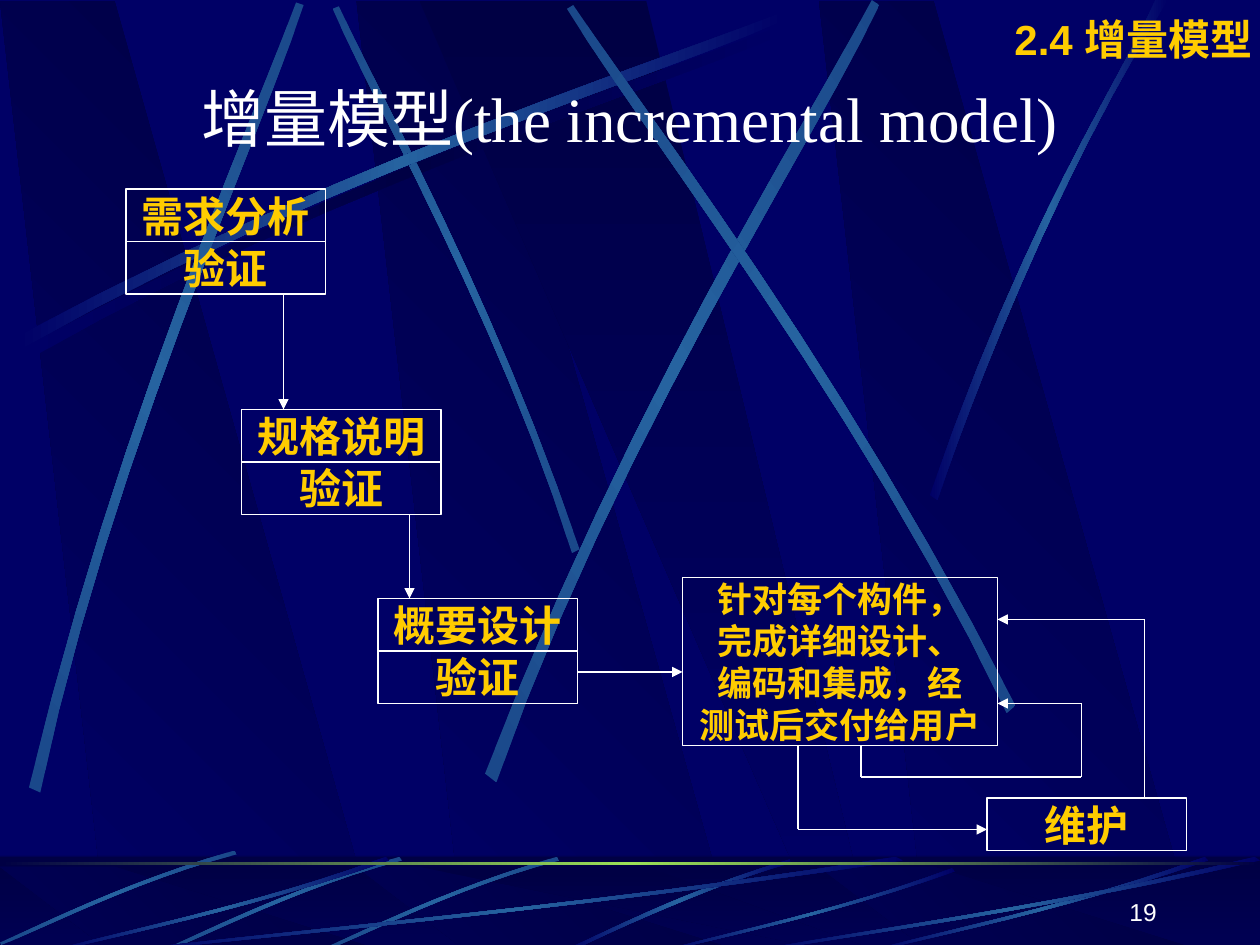
import copy

import pptx
import pptx.dml.color
import pptx.enum.shapes
import pptx.enum.text
import pptx.oxml
import pptx.oxml.ns
import pptx.util
from pptx.util import Cm

RGBColor = pptx.dml.color.RGBColor
NAVY = RGBColor(0x00, 0x00, 0x66)
DARK = RGBColor(0x00, 0x00, 0x44)
BLUE = RGBColor(0x26, 0x63, 0xA0)
MID_BLUE = RGBColor(0x1A, 0x48, 0x8A)
GREEN = RGBColor(0x9C, 0xE1, 0x57)
GOLD = RGBColor(0xFF, 0xCC, 0x00)
WHITE = RGBColor(0xFF, 0xFF, 0xFF)
INCH = 2.54
STEP = INCH / 12  # diagram grid
RECTANGLE = pptx.enum.shapes.MSO_SHAPE.RECTANGLE
ALIGN = pptx.enum.text.PP_ALIGN
ANCHOR = pptx.enum.text.MSO_ANCHOR
qn = pptx.oxml.ns.qn

presentation = pptx.Presentation()
presentation.slide_width, presentation.slide_height = Cm(25.4), Cm(19.05)
slide = presentation.slides.add_slide(presentation.slide_layouts[5])
slide.background.fill.solid()
slide.background.fill.fore_color.rgb = NAVY
shapes = slide.shapes


def paint(shape, colours, angle):
    """Fill a borderless shape with evenly spaced gradient colours, angle clockwise."""
    shape.shadow.inherit = False
    shape.line.fill.background()
    shape.fill.gradient()
    shape.fill.gradient_angle = -angle % 360
    stop_list = shape._element.spPr.find(qn("a:gradFill")).find(qn("a:gsLst"))
    if len(colours) == 3:
        stop_list.insert(1, copy.deepcopy(stop_list[0]))
    for index, (stop, colour) in enumerate(zip(shape.fill.gradient_stops, colours)):
        stop.position = index / (len(colours) - 1)
        stop.color.rgb = colour


def streak(points, colours, angle):
    """Draw a ribbon between two cubic curves of four points each, in inches."""
    outline = []
    for a, b, c, d in (points[:4], points[4:]):
        for t in (i / 12 for i in range(13)):
            weights = ((1 - t) ** 3, 3 * t * (1 - t) ** 2, 3 * t * t * (1 - t), t ** 3)
            outline.append([Cm(INCH * sum(w * p[axis] for w, p in zip(weights, (a, b, c, d))))
                            for axis in (0, 1)])
    builder = shapes.build_freeform(*outline[0])
    builder.add_line_segments(outline[1:])
    paint(builder.convert_to_shape(), colours, angle)


# Slanted panels: full height, then squeezed into the bottom band
slant = (0.86, 3.02, 0.91, 0)
panels = [([left + x for x in slant], 135) for left in (2.83, 0, 6.5)]
panels.append(((6.58, 6.94, 5.13, 3.33), 90))
for top, bottom in ((0.01, 7.52), (6.88, 7.54)):
    if top > 1:
        band = shapes.add_shape(RECTANGLE, 0, Cm(17.27), Cm(25.4), Cm(1.9))
        paint(band, (DARK, NAVY), 90)
    for xs, angle in panels:
        corners = [(Cm(x * INCH), Cm(y * INCH)) for x, y in zip(xs, (bottom, bottom, top, top))]
        builder = shapes.build_freeform(*corners[0])
        builder.add_line_segments(corners[1:])
        paint(builder.convert_to_shape(), (DARK, NAVY), angle)

# Large light streaks, the first one with a dark shadow
fading = (NAVY, BLUE, NAVY)
steep = (MID_BLUE, BLUE, MID_BLUE)
sweep = [(0.14, 2.67), (2.78, 1.25), (5.18, 0.51), (6.2, 0.1),
         (6.23, 0.16), (5.22, 0.61), (2.48, 1.43), (0.17, 2.77)]
streak([(x + 0.06, y + 0.08) for x, y in sweep], (NAVY, DARK, NAVY), 0)
for points, colours, angle in (
    ([(4.6, 4.36), (3.91, 2.34), (3.02, 0.77), (2.69, 0.05),
      (2.64, 0.07), (2.95, 0.79), (3.98, 2.58), (4.54, 4.39)], steep, 45),
    (sweep, fading, 0),
    ([(0.23, 6.25), (0.93, 3.34), (1.97, 1.05), (2.35, 0.02),
      (2.41, 0.04), (2.07, 1.08), (0.86, 3.68), (0.32, 6.29)], steep, 312),
    ([(3.85, 6.14), (4.98, 3.2), (6.38, 1.02), (6.92, 0),
      (6.98, 0.04), (6.49, 1.08), (4.86, 3.55), (3.94, 6.21)], steep, 322),
    ([(8.06, 5.6), (6.7, 2.93), (5.16, 0.95), (4.55, 0.04),
      (4.5, 0.07), (5.07, 1.01), (6.85, 3.25), (7.99, 5.66)], steep, 35),
    ([(7.38, 3.93), (8.14, 1.73), (8.88, 0.66), (9.17, 0),
      (9.27, 0), (8.36, 1.45), (7.69, 3.22), (7.44, 3.97)], fading, 0),
):
    streak(points, colours, angle)

# Half-transparent veil over the bottom band
veil = shapes.add_shape(RECTANGLE, 0, Cm(17.25), Cm(25.4), Cm(1.9))
veil.shadow.inherit = False
veil.line.fill.background()
veil.fill.solid()
veil.fill.fore_color.rgb = DARK
alpha = pptx.oxml.parse_xml(f'<a:alpha {pptx.oxml.ns.nsdecls("a")} val="50000"/>')
veil._element.spPr.find(".//" + qn("a:srgbClr")).append(alpha)

# Small streaks in the bottom band
streak([(6.27, 6.82), (5.37, 7.09), (4.77, 7.42), (4.48, 7.54),
        (4.53, 7.55), (4.9, 7.37), (5.71, 7), (6.28, 6.85)], fading, 0)
short = [(4.42, 6.8), (3.55, 7.05), (2.87, 7.4), (2.56, 7.53),
         (2.57, 7.55), (2.88, 7.43), (3.65, 7.03), (4.44, 6.83)]
for dx, dy in ((0, 0), (1.25, 0), (2.56, 0.05)):
    streak([(x - dx, y - dy) for x, y in short], steep, 315)
ribbon = [(1, 0.04), (0.57, 0.57), (0.17, 0.85), (0.01, 1),
          (0, 0.99), (0.17, 0.81), (0.61, 0.51), (0.99, 0)]
for left, top, width in ((1, 6.8, 6.17), (0.42, 6.8, 2.67), (5.27, 6.89, 2.31),
                         (6.92, 6.8, 2.67), (6, 6.8, 4)):
    streak([(left + x * width, top + y * (7.55 - top)) for x, y in ribbon], fading, 0)

# Green rule
rule = shapes.add_shape(RECTANGLE, 0, Cm(17.37), Cm(25.4), Cm(0.06))
paint(rule, (DARK, GREEN, DARK), 0)

# Title, brought in front of the backdrop
title = shapes.title
shapes._spTree.append(title._element)
title.left, title.top, title.width, title.height = Cm(1.9), Cm(1.47), Cm(21.6), Cm(1.78)
title.text_frame.text = "增量模型(the incremental model)"
title.text_frame.vertical_anchor = ANCHOR.MIDDLE
title.text_frame.paragraphs[0].alignment = ALIGN.CENTER
font = title.text_frame.paragraphs[0].runs[0].font
font.name, font.size, font.color.rgb = "Times New Roman", pptx.util.Pt(36), WHITE

# Phase boxes: left, top, width, height in grid steps, size, text
boxes = []
for left, top, phase in ((12, 18, "需求分析"), (23, 39, "规格说明"), (36, 57, "概要设计")):
    boxes.append((left, top, 19, 5, 24, phase))
    boxes.append((left, top + 5, 19, 5, 24, "验证"))
boxes.append((65, 55, 30, 16, 20,
              "针对每个构件，\n完成详细设计、\n编码和集成，经\n测试后交付给用户"))
boxes.append((94, 76, 19, 5, 24, "维护"))
for *box, size, text in boxes:
    shape = shapes.add_shape(RECTANGLE, *(Cm(n * STEP) for n in box))
    shape.shadow.inherit = False
    shape.fill.background()
    shape.line.color.rgb = WHITE
    shape.line.width = pptx.util.Pt(0.75)
    frame = shape.text_frame
    frame.text = text
    frame.word_wrap = False
    frame.vertical_anchor = ANCHOR.MIDDLE
    for paragraph in frame.paragraphs:
        paragraph.alignment = ALIGN.CENTER
        font = paragraph.runs[0].font
        font.name, font.size, font.bold = "Lato", pptx.util.Pt(size), True
        font.color.rgb = GOLD

# Routes in grid steps; the last leg of each carries the arrowhead
routes = (
    ((27, 28), (27, 39)),
    ((39, 49), (39, 57)),
    ((55, 64), (65, 64)),
    ((76, 71), (76, 79), (94, 79)),
    ((82, 71), (82, 74), (103, 74), (103, 67), (95, 67)),
    ((109, 76), (109, 59), (95, 59)),
)
for route in routes:
    for start, end in zip(route, route[1:]):
        connector = shapes.add_connector(pptx.enum.shapes.MSO_CONNECTOR.STRAIGHT,
                                         *(Cm(n * STEP) for n in start + end))
        connector.line.color.rgb = WHITE
        connector.line.width = pptx.util.Pt(0.75)
        properties = connector._element.spPr
        properties.append(pptx.oxml.parse_xml(f'<a:effectLst {pptx.oxml.ns.nsdecls("a")}/>'))
        if end == route[-1]:
            properties.find(qn("a:ln")).append(pptx.oxml.parse_xml(
                f'<a:tailEnd {pptx.oxml.ns.nsdecls("a")} type="triangle"/>'))

# Section label and page number
for text, box, size, colour, bold, anchor in (
    ("2.4 增量模型", (19.99, 0.15, 5.51, 1.27), 24, GOLD, True, ANCHOR.TOP),
    ("19", (18.29, 17.53, 5.28, 1.27), 14, WHITE, False, ANCHOR.BOTTOM),
):
    frame = shapes.add_textbox(*(Cm(n) for n in box)).text_frame
    frame.text = text
    frame.word_wrap = True
    frame.vertical_anchor = anchor
    frame.paragraphs[0].alignment = ALIGN.RIGHT
    font = frame.paragraphs[0].runs[0].font
    font.name, font.size, font.bold = "Arial", pptx.util.Pt(size), bold
    font.color.rgb = colour

presentation.save("out.pptx")
